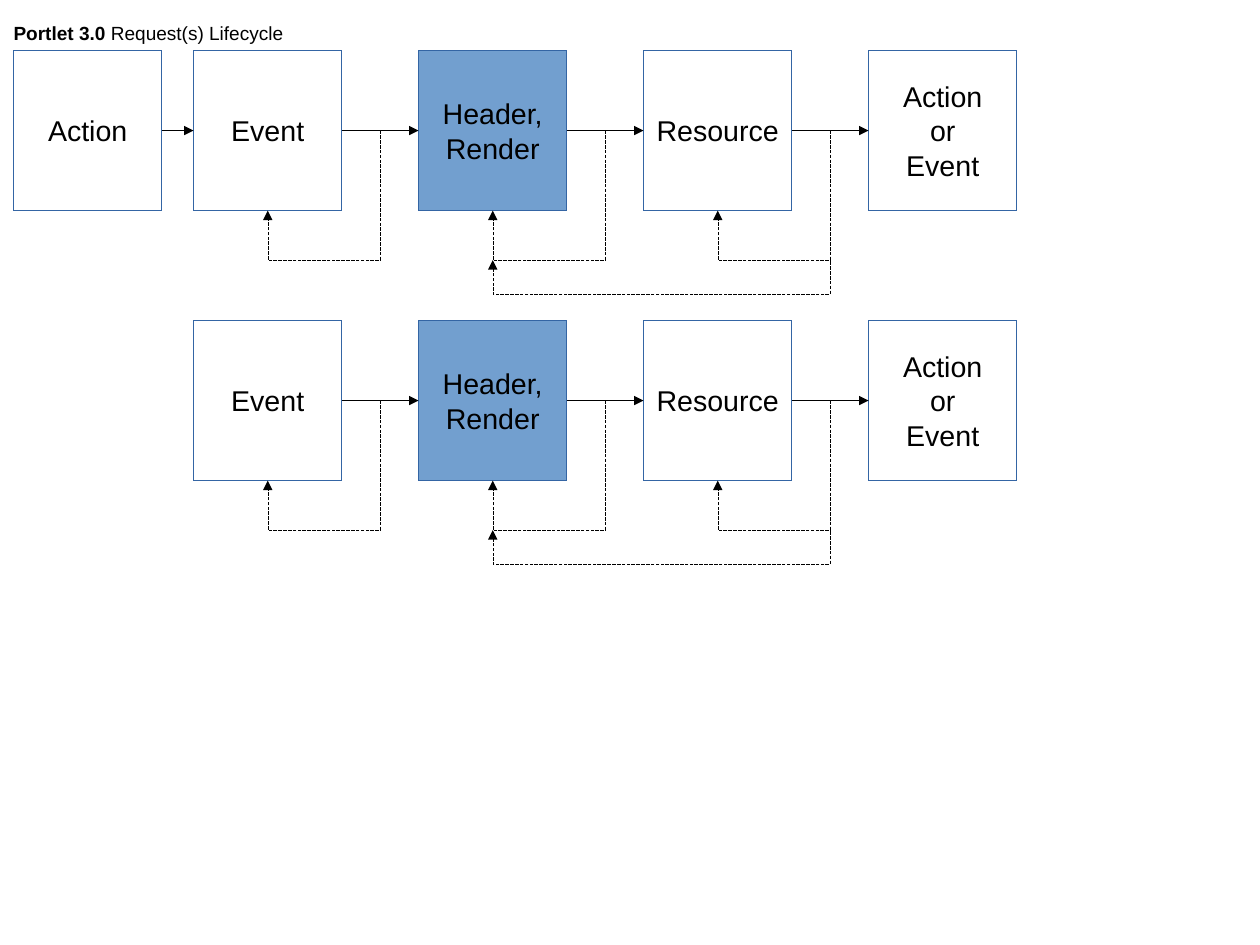
"""Build the Portlet 3.0 request lifecycle slide."""
import dataclasses

import lxml.etree
import pptx
import pptx.dml.color
import pptx.enum.dml
import pptx.enum.shapes
import pptx.enum.text
import pptx.oxml.ns
import pptx.util

Cm, Pt = pptx.util.Cm, pptx.util.Pt
RGB = pptx.dml.color.RGBColor
qn = pptx.oxml.ns.qn


@dataclasses.dataclass
class Theme:
    font: str = "Arial"
    ink: RGB = RGB(0, 0, 0)
    border: RGB = RGB(0x34, 0x65, 0xA4)
    accent: RGB = RGB(0x72, 0x9F, 0xCF)
    title_size: int = 12
    box_size: int = 18
    line_width: float = 0.01


theme = Theme()
BOX_W, BOX_H = 3.3, 3.56
ACTION_X, EVENT_X, COL_STEP = 0.3, 4.3, 5
FIRST_Y, ROW_STEP = 1.12, 6
INNER_DEPTH, OUTER_DEPTH = 2.88, 3.64
COLS = [ACTION_X] + [EVENT_X + COL_STEP * i for i in range(4)]
STAGES = [["Action"], ["Event"], ["Header,", "Render"], ["Resource"], ["Action", "or", "Event"]]


def add_arrow(kind, x0, y0, x1, y1):
    c = s.shapes.add_connector(kind, Cm(x0), Cm(y0), Cm(x1), Cm(y1))
    c.line.color.rgb = theme.ink
    c.line.width = Pt(theme.line_width)
    if kind == pptx.enum.shapes.MSO_CONNECTOR.ELBOW:
        c.line.dash_style = pptx.enum.dml.MSO_LINE.SQUARE_DOT
    ln = c._element.spPr.find(qn("a:ln"))
    lxml.etree.SubElement(ln, qn("a:tailEnd"), type="triangle")
    lxml.etree.SubElement(c._element.spPr, qn("a:effectLst"))
    return c


def add_loop(x0, y0, x1, y1, depth):
    c = add_arrow(pptx.enum.shapes.MSO_CONNECTOR.ELBOW, x0, y0, x1, y1)
    run, rise = x0 - x1, y1 - y0
    xfrm = c._element.spPr.find(qn("a:xfrm"))
    xfrm.attrib.pop("flipH", None)
    xfrm.set("rot", str(90 * 60000))
    c.left, c.top = Cm((x0 + x1 - rise) / 2), Cm((y0 + y1 - run) / 2)
    c.width, c.height = Cm(rise), Cm(run)
    geom = c._element.spPr.find(qn("a:prstGeom"))
    guides = geom.find(qn("a:avLst"))
    if guides is None:
        guides = lxml.etree.SubElement(geom, qn("a:avLst"))
    lxml.etree.SubElement(guides, qn("a:gd"), name="adj1", fmla=f"val {round(depth / rise * 100000)}")


prs = pptx.Presentation()
prs.slide_width, prs.slide_height = Cm(28), Cm(21)
s = prs.slides.add_slide(prs.slide_layouts[5])

title = s.shapes.title
title.left, title.top, title.width, title.height = Cm(0), Cm(0.36), Cm(6.6), Cm(0.73)
tf = title.text_frame
tf.word_wrap = False
tf.auto_size = pptx.enum.text.MSO_AUTO_SIZE.SHAPE_TO_FIT_TEXT
tf.vertical_anchor = pptx.enum.text.MSO_ANCHOR.TOP
p = tf.paragraphs[0]
p.alignment = pptx.enum.text.PP_ALIGN.CENTER
for text, bold in [("Portlet 3.0", True), (" Request(s) Lifecycle", False)]:
    r = p.add_run()
    r.text = text
    r.font.name, r.font.size, r.font.bold = theme.font, Pt(theme.title_size), bold
    r.font.color.rgb = theme.ink

for row, first in enumerate([0, 1]):
    top = FIRST_Y + ROW_STEP * row
    mid, bottom = top + BOX_H / 2, top + BOX_H
    boxes = []
    for x, lines in list(zip(COLS, STAGES))[first:]:
        sp = s.shapes.add_shape(pptx.enum.shapes.MSO_SHAPE.RECTANGLE,
                                Cm(x), Cm(top), Cm(BOX_W), Cm(BOX_H))
        sp.shadow.inherit = False
        sp.line.color.rgb = theme.border
        sp.line.width = Pt(theme.line_width)
        if "Render" in lines:
            sp.fill.solid()
            sp.fill.fore_color.rgb = theme.accent
        else:
            sp.fill.background()
        tf = sp.text_frame
        tf.word_wrap = False
        tf.vertical_anchor = pptx.enum.text.MSO_ANCHOR.MIDDLE
        for i, text in enumerate(lines):
            p = tf.add_paragraph() if i else tf.paragraphs[0]
            p.alignment = pptx.enum.text.PP_ALIGN.CENTER
            r = p.add_run()
            r.text = text
            r.font.name, r.font.size = theme.font, Pt(theme.box_size)
            r.font.color.rgb = theme.ink
        boxes.append(sp)

    for i, (left_box, right_box) in enumerate(zip(boxes, boxes[1:]), first):
        c = add_arrow(pptx.enum.shapes.MSO_CONNECTOR.STRAIGHT, COLS[i] + BOX_W, mid, COLS[i + 1], mid)
        c.begin_connect(left_box, 3)
        c.end_connect(right_box, 1)

    centres = [x + BOX_W / 2 for x in COLS[1:4]]
    for centre in centres:
        add_loop(centre + COL_STEP / 2, mid, centre, bottom, INNER_DEPTH)
    add_loop(centres[2] + COL_STEP / 2, mid, centres[1], mid + INNER_DEPTH, OUTER_DEPTH)

prs.save("out.pptx")
